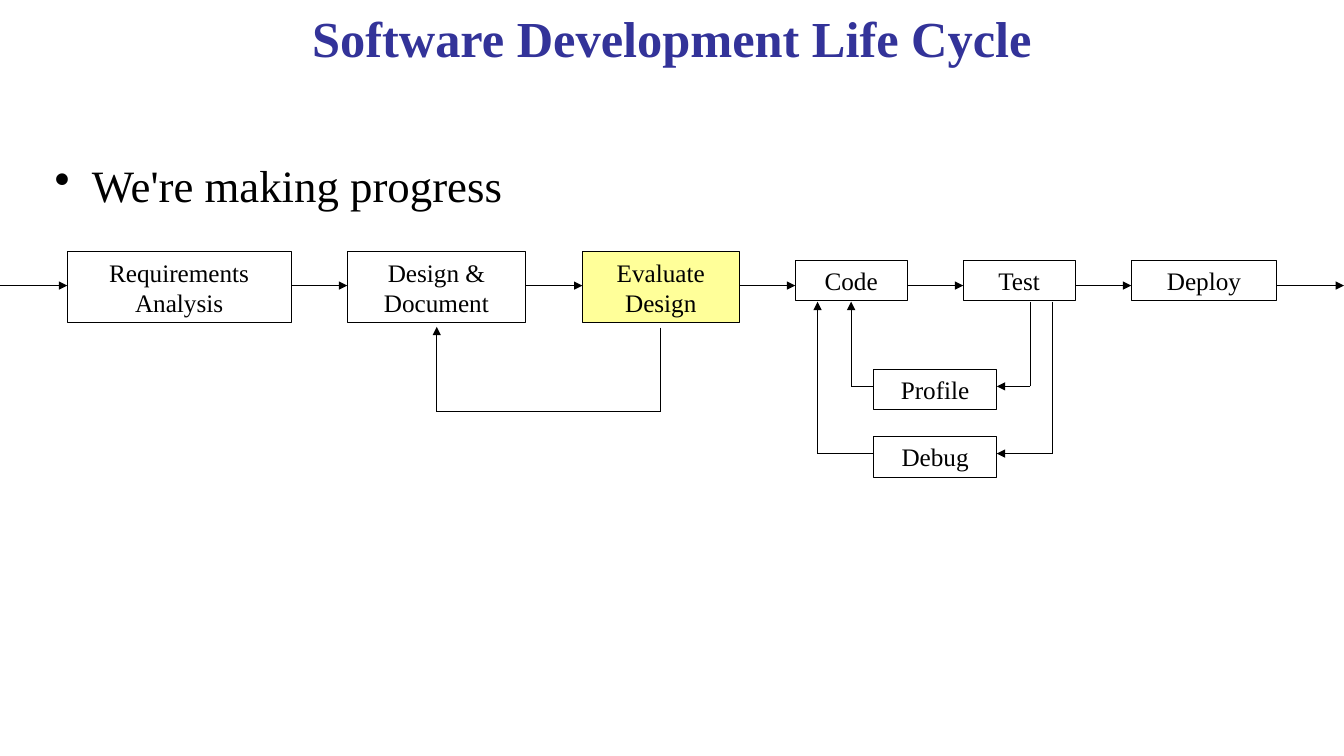
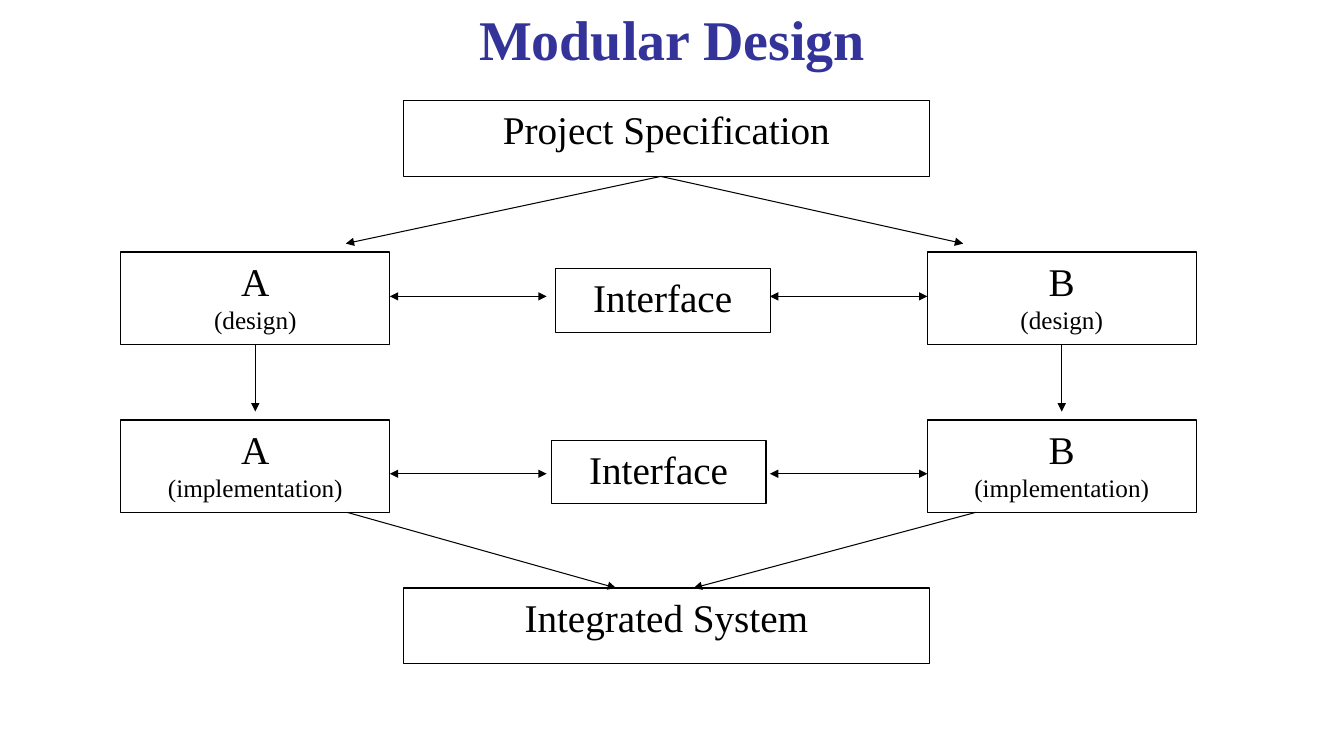
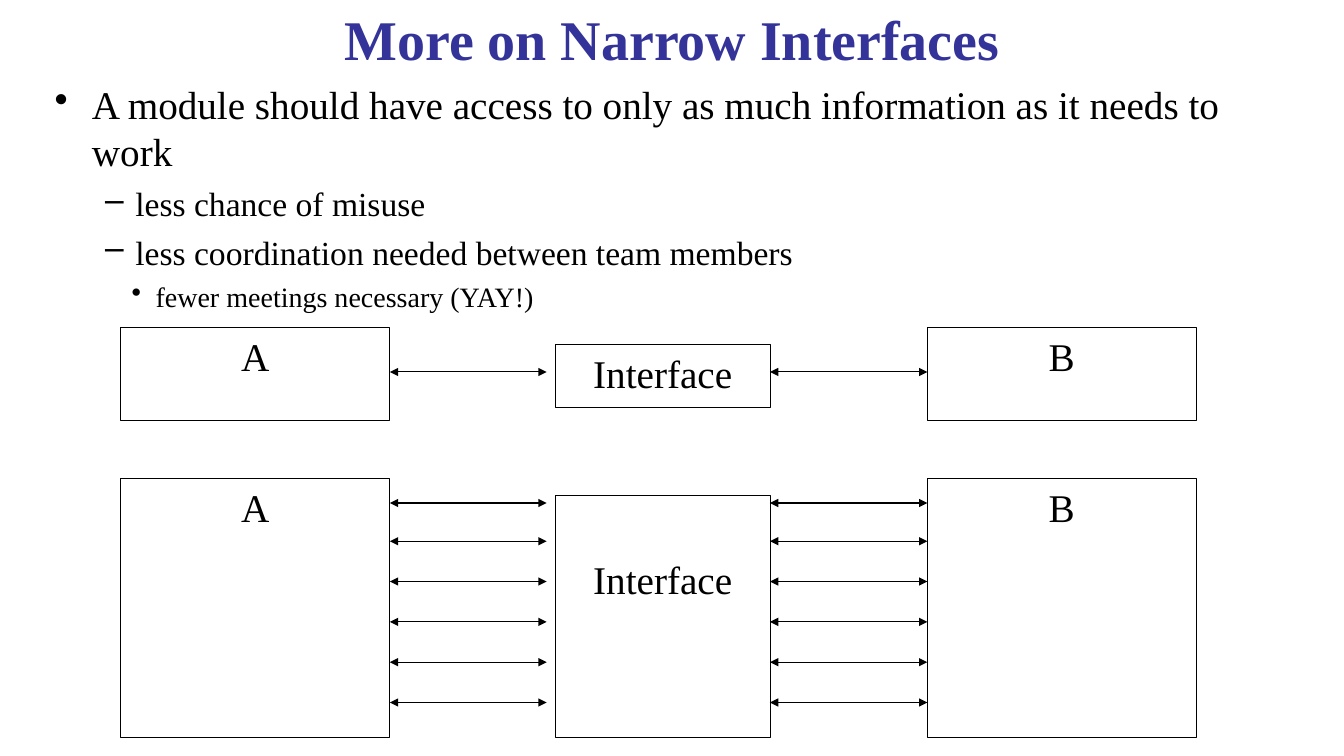
from dataclasses import dataclass
from itertools import pairwise

from lxml import etree
from pptx import Presentation
from pptx.dml.color import RGBColor
from pptx.enum import shapes, text
from pptx.oxml import ns
from pptx.util import Pt


@dataclass(frozen=True)
class Theme:
    font: str = "Times New Roman"
    ink: RGBColor = RGBColor(0x00, 0x00, 0x00)
    heading: RGBColor = RGBColor(0x33, 0x33, 0x99)
    highlight: RGBColor = RGBColor(0xFF, 0xFF, 0x99)
    line: float = 0.75
    title: int = 40
    long_title: int = 36
    lead: int = 32
    label: int = 28
    small: int = 18
    bullet_sizes: tuple = (28, 24, 20)
    bullet_marks: tuple = ("•", "–", "•")
    bullet_indents: tuple = ((26.6, -26.6), (57.6, -21.6), (72, -17))
    bullet_gaps: tuple = (7, 6, 5)


class Deck:
    """Holds the style and the current slide, and draws each kind of element."""

    def __init__(self, theme):
        self.theme = theme
        self.presentation = Presentation()
        self.presentation.slide_width = Pt(960)
        self.presentation.slide_height = Pt(540)
        self.slide = None

    def add_slide(self, title, size=None):
        layout = self.presentation.slide_layouts[6]
        self.slide = self.presentation.slides.add_slide(layout)
        frame = self.text_box(32, 0, 896, 54)
        frame.vertical_anchor = text.MSO_ANCHOR.MIDDLE
        paragraph = frame.paragraphs[0]
        self.set_text(paragraph, title, size or self.theme.title, self.theme.heading)
        paragraph.font.bold = True
        paragraph.alignment = text.PP_ALIGN.CENTER

    def text_box(self, left, top, width, height):
        box = self.slide.shapes.add_textbox(Pt(left), Pt(top), Pt(width), Pt(height))
        box.text_frame.word_wrap = True
        return box.text_frame

    def set_text(self, paragraph, words, size, color=None):
        paragraph.text = words
        paragraph.font.name = self.theme.font
        paragraph.font.size = Pt(size)
        paragraph.font.color.rgb = self.theme.ink if color is None else color

    def paragraphs(self, frame, count):
        return [frame.paragraphs[0]] + [frame.add_paragraph() for _ in range(count - 1)]

    def bullets(self, items, top=54, size=None):
        theme = self.theme
        frame = self.text_box(32, top, 896, 522 - top)
        for paragraph, (level, words) in zip(self.paragraphs(frame, len(items)), items):
            paragraph.level = level
            paragraph.space_before = Pt(theme.bullet_gaps[level])
            margin, indent = theme.bullet_indents[level]
            properties = paragraph._p.get_or_add_pPr()
            properties.set("marL", str(Pt(margin)))
            properties.set("indent", str(Pt(indent)))
            mark = etree.SubElement(properties, ns.qn("a:buChar"))
            mark.set("char", theme.bullet_marks[level])
            self.set_text(paragraph, words, size or theme.bullet_sizes[level])

    def box(self, left, top, width, height, *lines, fill=None, inset=3.6):
        shape = self.slide.shapes.add_shape(
            shapes.MSO_SHAPE.RECTANGLE, Pt(left), Pt(top), Pt(width), Pt(height))
        shape.shadow.inherit = False
        if fill is None:
            shape.fill.background()
        else:
            shape.fill.solid()
            shape.fill.fore_color.rgb = fill
        shape.line.color.rgb = self.theme.ink
        shape.line.width = Pt(self.theme.line)
        frame = shape.text_frame
        frame.word_wrap = True
        frame.vertical_anchor = text.MSO_ANCHOR.TOP
        frame.margin_top = Pt(inset)
        for paragraph, (words, size) in zip(self.paragraphs(frame, len(lines)), lines):
            paragraph.alignment = text.PP_ALIGN.CENTER
            self.set_text(paragraph, words, size)
        return shape

    def connector(self, start, end, head=False, tail=True):
        line = self.slide.shapes.add_connector(
            shapes.MSO_CONNECTOR.STRAIGHT, *(Pt(value) for value in (*start, *end)))
        line.line.color.rgb = self.theme.ink
        line.line.width = Pt(self.theme.line)
        properties = line._element.spPr
        outline = properties.get_or_add_ln()
        for tag, wanted in (("a:headEnd", head), ("a:tailEnd", tail)):
            if wanted:
                etree.SubElement(outline, ns.qn(tag)).set("type", "triangle")
        etree.SubElement(properties, ns.qn("a:effectLst"))
        return line

    def route(self, *points):
        for start, end in pairwise(points):
            self.connector(start, end, tail=end == points[-1])

    def module(self, left, top, height, name, detail=None):
        lines = [(name, self.theme.label)]
        if detail:
            lines.append((detail, self.theme.small))
        return self.box(left, top, 192, height, *lines)

    def interface(self, left, top, height=45.4, inset=3.6):
        self.box(left, top, 153.4, height, ("Interface", self.theme.label), inset=inset)

    def exchange(self, y):
        for start, end in ((278.5, 390.5), (550, 662.4)):
            self.connector((start, y), (end, y), head=True)


MODULES = (("A", 86.4), ("B", 662.4))


def life_cycle(deck):
    theme = deck.theme
    deck.add_slide("Software Development Life Cycle", theme.long_title)
    deck.bullets([(0, "We're making progress")], top=109, size=theme.lead)
    stages = (
        ("Requirements Analysis", 48, 180, 160, 50.4, None),
        ("Design & Document", 248, 180, 127.5, 50.4, None),
        ("Evaluate Design", 416, 180, 112, 50.4, theme.highlight),
        ("Code", 568, 186, 80, 28.8, None),
        ("Test", 688, 186, 80, 28.8, None),
        ("Deploy", 808, 186, 104, 28.8, None),
    )
    for name, left, top, width, height, fill in stages:
        deck.box(left, top, width, height, (name, theme.small), fill=fill)
    starts = [0] + [left + width for _, left, _, width, _, _ in stages]
    ends = [left for _, left, *_ in stages] + [960]
    for start, end in zip(starts, ends):
        deck.connector((start, 204), (end, 204))
    for name, top, code_x, test_x in (("Profile", 264, 608, 736), ("Debug", 312, 584, 752)):
        deck.box(624, top, 88, 28.8, (name, theme.small))
        y = top + 12
        deck.route((test_x, 215.5), (test_x, y), (712, y))
        deck.route((624, y), (code_x, y), (code_x, 215.5))
    deck.route((472, 234), (472, 294), (312, 294), (312, 233.5))


def modular_design(deck):
    deck.add_slide("Modular Design")
    for words, top in (("Project Specification", 72), ("Integrated System", 420)):
        deck.box(288, top, 376, 54, (words, deck.theme.label))
    for name, left in MODULES:
        design = deck.module(left, 180, 66.2, name, "(design)")
        deck.module(left, 300, 66.2, name, "(implementation)")
        down = deck.connector((left + 96, 246.2), (left + 96, 294))
        down.begin_connect(design, 2)
    for left, top, y in ((396.7, 192, 211.7), (393.8, 314.6, 338.4)):
        deck.interface(left, top)
        deck.exchange(y)
    for start, end in (
        ((472, 126), (247, 174)),
        ((472, 126), (688, 174)),
        ((248, 366), (440, 420)),
        ((697, 366), (495.5, 420)),
    ):
        deck.connector(start, end)


def narrow_interfaces(deck):
    deck.add_slide("More on Narrow Interfaces")
    deck.bullets([
        (0, "A module should have access to only as much information as it needs to work"),
        (1, "less chance of misuse"),
        (1, "less coordination needed between team members"),
        (2, "fewer meetings necessary (YAY!)"),
    ])
    wide_links = [359.3] + [386.6 + 28.8 * step for step in range(5)]
    for top, height, interface_height, inset, links in (
        (234, 66.2, 45.4, 3.6, [265.7]),
        (342, 185, 173, 42.8, wide_links),
    ):
        for name, left in MODULES:
            deck.module(left, top, height, name)
        deck.interface(396.7, top + 12, interface_height, inset)
        for y in links:
            deck.exchange(y)


def main():
    deck = Deck(Theme())
    life_cycle(deck)
    modular_design(deck)
    narrow_interfaces(deck)
    deck.presentation.save("out.pptx")


if __name__ == "__main__":
    main()
